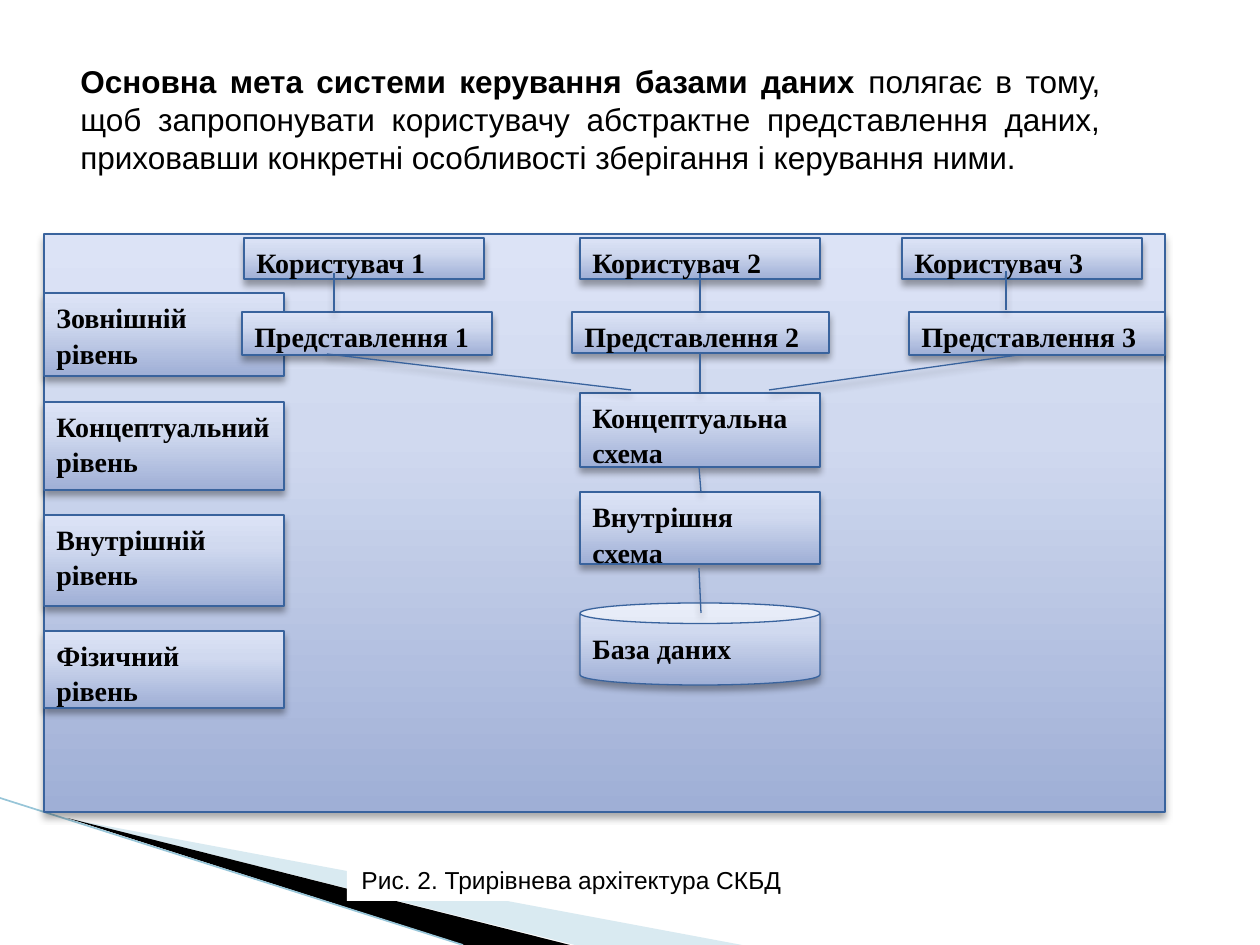
from copy import deepcopy

from pptx import Presentation
from pptx.dml.color import RGBColor
from pptx.enum.shapes import MSO_CONNECTOR as Connector, MSO_SHAPE as Shape
from pptx.enum.text import MSO_ANCHOR as Anchor, MSO_AUTO_SIZE as AutoSize, PP_ALIGN as Align
from pptx.oxml import parse_xml
from pptx.oxml.ns import nsdecls, qn
from pptx.util import Pt

SCALE = 914400 / 126  # EMU in one px
COLORS = {
    "white": "FFFFFF",
    "black": "000000",
    "edge": "39639D",
    "wedge": "A0CBDC",
    "stripe": "97C5D8",
}
GRADIENT = [(0, "9FAFD6"), (0.65, "D0D9EF"), (1, "DCE3F6")]  # bottom to top
SHADOW = (
    f'<a:effectLst {nsdecls("a")}><a:outerShdw blurRad="50800" dist="38100" '
    'dir="5400000" rotWithShape="0"><a:srgbClr val="000000">'
    '<a:alpha val="35000"/></a:srgbClr></a:outerShdw></a:effectLst>'
)
NO_SHADOW = f'<a:effectLst {nsdecls("a")}/>'

LABEL = {"name": "Times New Roman", "size": Pt(16), "bold": True}
INTRO = {"name": "Arial", "size": Pt(18), "bold": False}
CAPTION = {"name": "Arial", "size": Pt(14), "bold": False}


def emu(*lengths):
    return [round(length * SCALE) for length in lengths]


def rgb(name):
    return RGBColor.from_string(COLORS[name])


class SlideBuilder:
    def __init__(self, page):
        self.page = page

    def outline(self, item, color="edge", width=0.75, effects=SHADOW):
        item.line.color.rgb = rgb(color)
        item.line.width = Pt(width)
        item._element.spPr.append(parse_xml(effects))

    def add_span(self, para, text, font):
        span = para.add_run()
        span.text = text
        for key, value in font.items():
            setattr(span.font, key, value)
        span.font.color.rgb = rgb("black")

    def wedge(self, points, color, opacity=100):
        start, *rest = points
        builder = self.page.shapes.build_freeform(*start, scale=SCALE)
        builder.add_line_segments(rest, close=True)
        shape = builder.convert_to_shape()
        shape.shadow.inherit = False
        shape.fill.solid()
        shape.fill.fore_color.rgb = rgb(color)
        shape.line.fill.background()
        if opacity < 100:
            fill_color = shape._element.spPr.find(".//" + qn("a:srgbClr"))
            alpha = f'<a:alpha {nsdecls("a")} val="{opacity * 1000}"/>'
            fill_color.append(parse_xml(alpha))

    def box(self, left, top, width, height, text="", kind=Shape.RECTANGLE):
        box = self.page.shapes.add_shape(kind, *emu(left, top, width, height))
        box.fill.gradient()
        box.fill.gradient_angle = 90
        stops = box._element.spPr.find(".//" + qn("a:gsLst"))
        stops.append(deepcopy(stops[0]))
        for stop, (position, color) in zip(box.fill.gradient_stops, GRADIENT):
            stop.position = position
            stop.color.rgb = RGBColor.from_string(color)
        self.outline(box)
        if text:
            frame = box.text_frame
            frame.word_wrap = True
            frame.vertical_anchor = Anchor.TOP
            para = frame.paragraphs[0]
            para.alignment = Align.LEFT
            para.line_spacing = 1.05
            for number, line in enumerate(text.split("\n")):
                if number:
                    para.add_line_break()
                self.add_span(para, line, LABEL)

    def line(self, start, end, **style):
        line = self.page.shapes.add_connector(Connector.STRAIGHT, *emu(*start, *end))
        self.outline(line, **style)

    def caption(self, left, top, width, height, text):
        box = self.page.shapes.add_shape(Shape.RECTANGLE, *emu(left, top, width, height))
        box.shadow.inherit = False
        box.fill.solid()
        box.fill.fore_color.rgb = rgb("white")
        box.line.fill.background()
        frame = box.text_frame
        frame.word_wrap = False
        frame.auto_size = AutoSize.SHAPE_TO_FIT_TEXT
        frame.vertical_anchor = Anchor.MIDDLE
        frame.paragraphs[0].alignment = Align.CENTER
        self.add_span(frame.paragraphs[0], text, CAPTION)

    def intro(self, left, top, width, height, lead, rest):
        box = self.page.shapes.add_textbox(*emu(left, top, width, height))
        frame = box.text_frame
        frame.word_wrap = True
        frame.auto_size = AutoSize.SHAPE_TO_FIT_TEXT
        para = frame.paragraphs[0]
        para.alignment = Align.JUSTIFY
        self.add_span(para, lead, {**INTRO, "bold": True})
        self.add_span(para, rest, INTRO)


def main():
    deck = Presentation()
    deck.slide_width, deck.slide_height = emu(1260, 945)
    slide = SlideBuilder(deck.slides.add_slide(deck.slide_layouts[6]))

    # Corner decoration
    slide.wedge([(69, 819), (742, 945), (575, 945)], "wedge", opacity=40)
    slide.wedge([(67, 818), (570, 945), (464, 945)], "black")
    slide.line((0, 798), (463, 945), color="stripe", width=0.95, effects=NO_SHADOW)

    # Diagram panel
    slide.box(44, 234, 1121, 578)

    # Users
    for number, left in enumerate((244, 580, 902), start=1):
        slide.box(left, 238, 240, 41, f"Користувач {number}")

    # Schemas and database
    for top, height, text, kind in (
        (393, 74, "Концептуальна схема", Shape.RECTANGLE),
        (492, 72, "Внутрішня схема", Shape.RECTANGLE),
        (603, 82, "База даних", Shape.CAN),
    ):
        slide.box(580, top, 240, height, text, kind)

    # Levels
    for top, height, text in (
        (293, 83, "Зовнішній рівень"),
        (402, 88, "Концептуальний рівень"),
        (515, 91, "Внутрішній рівень"),
        (631, 77, "Фізичний\nрівень"),
    ):
        slide.box(44, top, 240, height, text)

    # Views
    views = ((242, 250, 43), (572, 257, 41), (909, 256, 43))
    for number, (left, width, height) in enumerate(views, start=1):
        slide.box(left, 312, width, height, f"Представлення {number}")

    # Links
    for start, end in (
        ((334, 273), (334, 312)),
        ((700, 273), (700, 312)),
        ((1006, 271), (1006, 310)),
        ((327, 354), (631, 390)),
        ((700, 352), (700, 393)),
        ((1018, 355), (769, 390)),
        ((699, 467), (701, 492)),
        ((699, 568), (701, 613)),
    ):
        slide.line(start, end)

    # Caption and introduction
    slide.caption(347, 858, 449, 43, "Рис. 2. Трирівнева архітектура СКБД")
    slide.intro(
        68, 56, 1045, 127,
        "Основна мета системи керування базами даних",
        " полягає в тому, щоб запропонувати користувачу абстрактне представлення "
        "даних, приховавши конкретні особливості зберігання і керування ними.",
    )

    deck.save("out.pptx")


if __name__ == "__main__":
    main()
